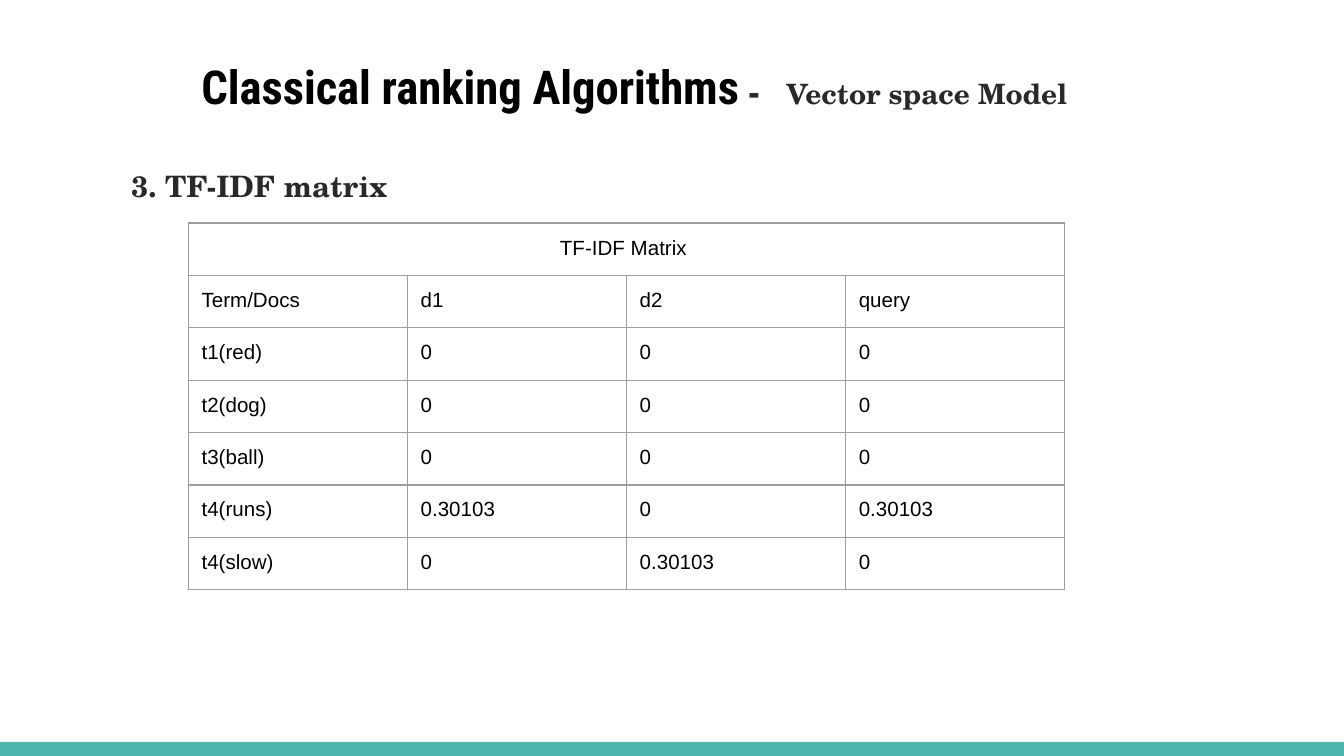
from dataclasses import dataclass

from lxml import etree
from pptx import Presentation
from pptx import util as u
from pptx.dml.color import RGBColor
from pptx.enum import shapes, text
from pptx.oxml import ns


@dataclass(frozen=True)
class Theme:
    black: str = "000000"
    ink: str = "292929"
    accent: str = "4DB6AC"
    orange: str = "EF6C00"
    grid: str = "9E9E9E"
    heading_font: str = "Roboto Condensed"
    serif_font: str = "TeX Gyre Schola"
    table_font: str = "Arial"
    title_size: float = 25
    dash_size: float = 19
    gap_size: float = 36
    subtitle_size: float = 15
    section_size: float = 15.8
    table_size: float = 11
    grid_width: float = 0.75
    inset: float = 0.1


THEME = Theme()
MATRIX_TITLE = "TF-IDF Matrix "
MATRIX_ROWS = [
    ["Term/Docs", "d1", "d2", "query"],
    ["t1(red)", "0", "0", "0"],
    ["t2(dog)", "0", "0", "0"],
    ["t3(ball)", "0", "0", "0"],
    ["t4(runs)", "0.30103", "0", "0.30103"],
    ["t4(slow)", "0", "0.30103", "0"],
]


def add_text(paragraph, content, *, font, size, color, bold=False):
    run = paragraph.add_run()
    run.text = content
    run.font.name = font
    run.font.size = u.Pt(size)
    run.font.bold = bold
    run.font.color.rgb = RGBColor.from_string(color)


def set_insets(target):
    for side in ("left", "top", "right", "bottom"):
        setattr(target, f"margin_{side}", u.Inches(THEME.inset))


def add_text_box(slide, box):
    """Add an empty, wrapping text box and return its first paragraph."""
    frame = slide.shapes.add_textbox(*map(u.Inches, box)).text_frame
    frame.word_wrap = True
    frame.vertical_anchor = text.MSO_ANCHOR.TOP
    set_insets(frame)
    return frame.paragraphs[0]


def add_footer_bar(slide, box):
    bar = slide.shapes.add_shape(shapes.MSO_SHAPE.RECTANGLE, *map(u.Inches, box))
    bar.shadow.inherit = False
    bar.fill.solid()
    bar.fill.fore_color.rgb = RGBColor.from_string(THEME.accent)
    bar.line.fill.background()


def add_title(slide, box):
    paragraph = add_text_box(slide, box)
    for content, font, size, color in (
        ("Classical ranking Algorithms", THEME.heading_font, THEME.title_size, THEME.black),
        (" - ", THEME.serif_font, THEME.dash_size, THEME.ink),
        (" ", THEME.heading_font, THEME.gap_size, THEME.orange),
        ("Vector space Model", THEME.serif_font, THEME.subtitle_size, THEME.ink),
    ):
        add_text(paragraph, content, font=font, size=size, color=color, bold=True)


def add_section_heading(slide, box):
    paragraph = add_text_box(slide, box)
    paragraph.line_spacing = 1.91
    paragraph.space_before = u.Pt(17)
    add_text(paragraph, "3. TF-IDF matrix", font=THEME.serif_font,
             size=THEME.section_size, color=THEME.ink, bold=True)


def set_borders(cell):
    properties = cell._tc.get_or_add_tcPr()
    for index, side in enumerate(("lnL", "lnR", "lnT", "lnB")):
        line = etree.Element(ns.qn(f"a:{side}"), w=str(u.Pt(THEME.grid_width)))
        fill = etree.SubElement(line, ns.qn("a:solidFill"))
        etree.SubElement(fill, ns.qn("a:srgbClr"), val=THEME.grid)
        properties.insert(index, line)


def add_matrix(slide, box):
    rows = [[MATRIX_TITLE, "", "", ""]] + MATRIX_ROWS
    table = slide.shapes.add_table(
        len(rows), len(rows[0]), *map(u.Inches, box)).table
    table.first_row = table.horz_banding = False
    for row_index, row in enumerate(rows):
        for column_index, content in enumerate(row):
            cell = table.cell(row_index, column_index)
            set_insets(cell)
            cell.fill.background()
            set_borders(cell)
            if content:
                add_text(cell.text_frame.paragraphs[0], content,
                         font=THEME.table_font, size=THEME.table_size,
                         color=THEME.black)
    # The matrix title spans the whole first row
    table.cell(0, 0).merge(table.cell(0, len(rows[0]) - 1))
    table.cell(0, 0).text_frame.paragraphs[0].alignment = text.PP_ALIGN.CENTER


def main():
    presentation = Presentation()
    # A 16:9 slide
    presentation.slide_width = u.Inches(10)
    presentation.slide_height = presentation.slide_width * 9 // 16
    slide = presentation.slides.add_slide(presentation.slide_layouts[6])

    add_footer_bar(slide, (0, 5.52, 10, 0.11))
    add_title(slide, (1.4, 0.18, 7.69, 1.09))
    add_section_heading(slide, (0.88, 0.91, 9.04, 4.24))
    add_matrix(slide, (1.4, 1.66, 6.52, 2.73))
    presentation.save("out.pptx")


if __name__ == "__main__":
    main()
